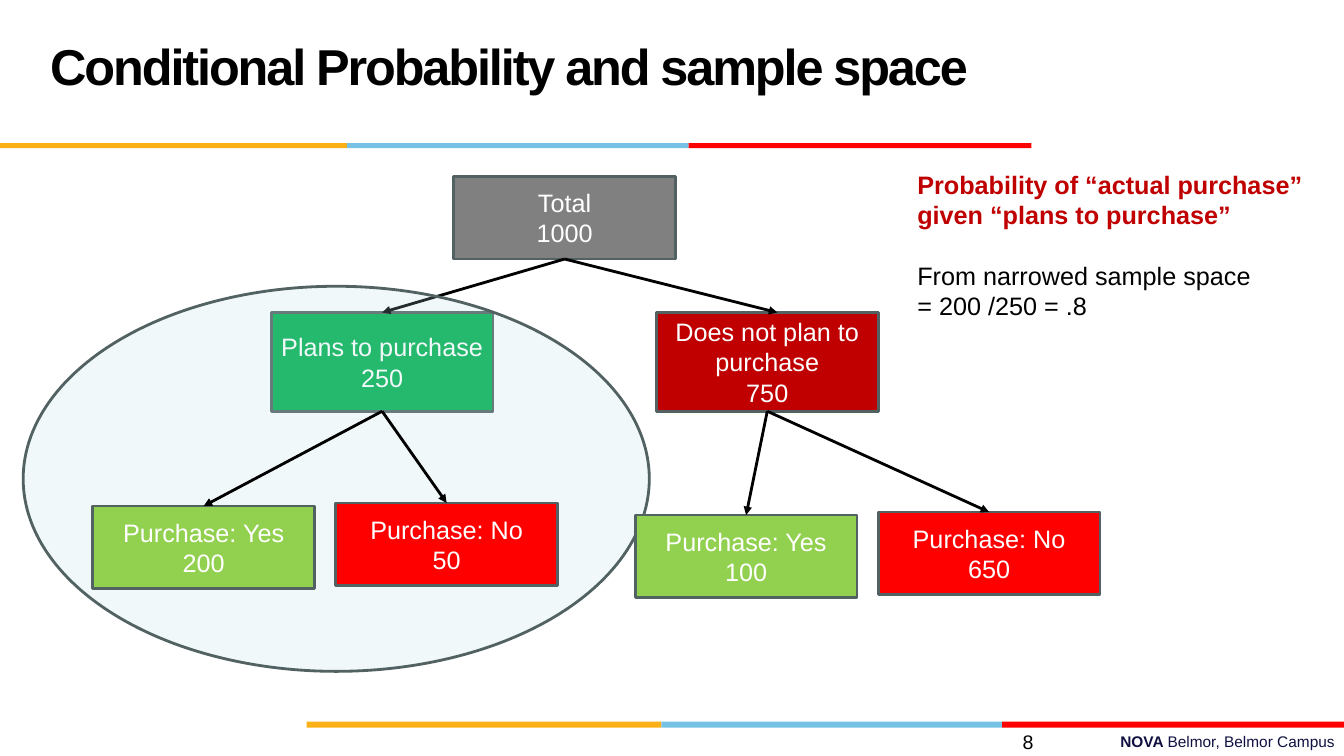
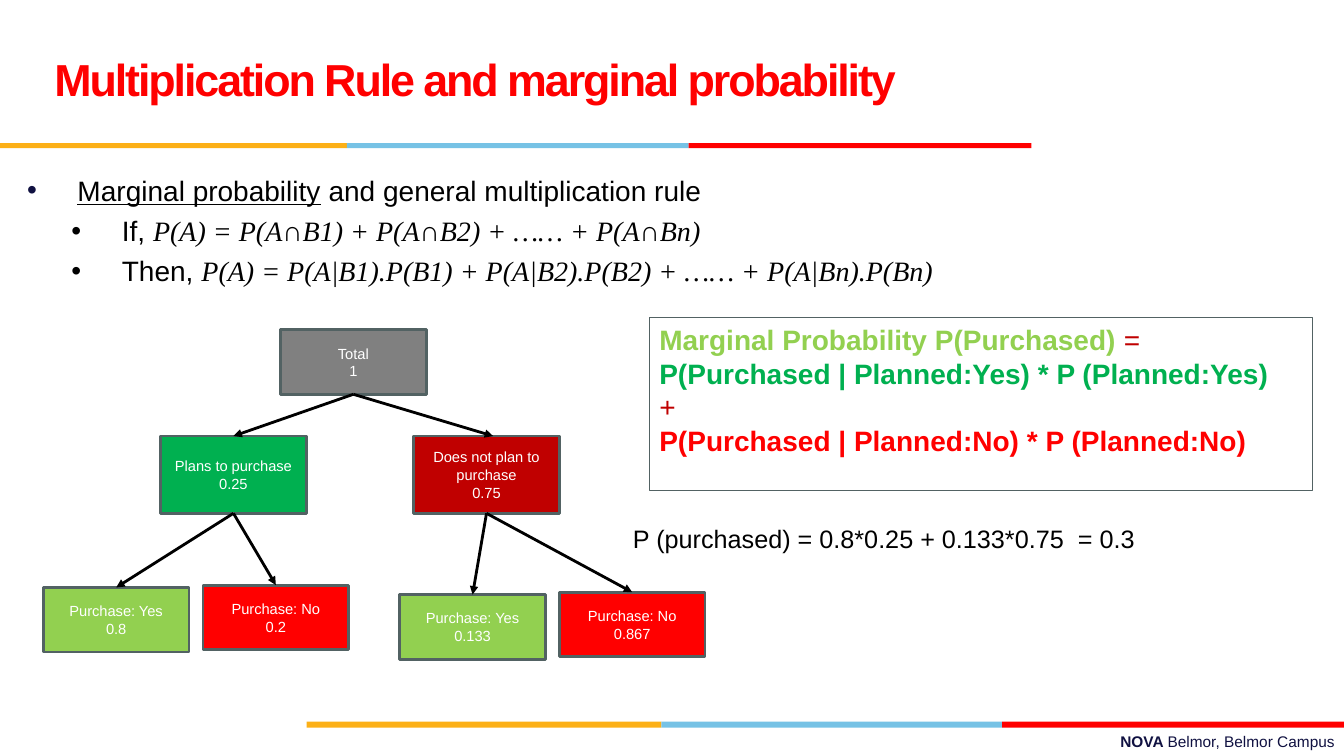
import pptx
import pptx.dml.color
import pptx.enum.shapes
import pptx.enum.text
import pptx.oxml.ns
import pptx.util
from dataclasses import dataclass
from lxml import etree

Inches = pptx.util.Inches
Pt = pptx.util.Pt
qn = pptx.oxml.ns.qn
SHAPE = pptx.enum.shapes.MSO_SHAPE
ALIGN = pptx.enum.text.PP_ALIGN
ANCHOR = pptx.enum.text.MSO_ANCHOR


@dataclass(frozen=True)
class Theme:
    font: str = "Arial"
    math_font: str = "Times New Roman"
    black: str = "000000"
    white: str = "FFFFFF"
    navy: str = "101141"
    orange: str = "FCB017"
    blue: str = "76C2E5"
    red: str = "FF0000"
    dark_red: str = "C00000"
    green: str = "00B050"
    lime: str = "92D050"
    gray: str = "808080"
    outline: str = "526263"
    pale: str = "BBE0E3"
    body: float = 18
    large: float = 20
    small: float = 10.5
    number: float = 14
    footer: float = 11


T = Theme()

TREE_SIZE = (10, 4.18)
NODE_WIDTH = 2.2
OVAL = (-0.69, 1.09, 6.21, 3.82)
UPPER_NODES = {
    "total": ("Total", 3.58, 0, 0.82, T.gray, None, 0),
    "plans": ("Plans to purchase", 1.77, 1.35, 0.98, T.green, "total", 0),
    "no_plan": ("Does not plan to purchase", 5.59, 1.35, 0.98, T.dark_red, "total", 0.1),
}
LEAVES = {
    "plans_yes": ("Purchase: Yes", 0, 3.27, 0.82, T.lime, "plans", 0),
    "plans_no": ("Purchase: No", 2.41, 3.24, 0.82, T.red, "plans", 0),
    "no_plan_yes": ("Purchase: Yes", 5.38, 3.36, 0.82, T.lime, "no_plan", 0),
    "no_plan_no": ("Purchase: No", 7.79, 3.33, 0.82, T.red, "no_plan", 0),
}


def rgb(color):
    return pptx.dml.color.RGBColor.from_string(color)


def add_run(p, text, font=T.font, size=T.body, color=T.black, bold=False,
            italic=False, underline=False, spacing=None):
    r = p.add_run()
    r.text = text
    f = r.font
    f.name, f.size, f.bold, f.italic = font, Pt(size), bold, italic
    f.underline = underline
    f.color.rgb = rgb(color)
    if spacing is not None:
        r._r.get_or_add_rPr().set("spc", str(int(spacing * 100)))


def put_text(tf, paragraphs, align=ALIGN.LEFT, anchor=ANCHOR.TOP, **fmt):
    tf.word_wrap = True
    tf.vertical_anchor = anchor
    for i, runs in enumerate(paragraphs):
        p = tf.paragraphs[0] if i == 0 else tf.add_paragraph()
        p.alignment = align
        for run in [runs] if isinstance(runs, str) else runs:
            text, changes = (run, {}) if isinstance(run, str) else run
            add_run(p, text, **{**fmt, **changes})
    return tf


def add_text(slide, box, paragraphs, **fmt):
    sp = slide.shapes.add_textbox(*map(Inches, box))
    return put_text(sp.text_frame, paragraphs, **fmt)


def add_box(slide, box, fill=None, line=None, width=2, kind=SHAPE.RECTANGLE):
    sp = slide.shapes.add_shape(kind, *map(Inches, box))
    sp.shadow.inherit = False
    if fill:
        sp.fill.solid()
        sp.fill.fore_color.rgb = rgb(fill)
    else:
        sp.fill.background()
    if line:
        sp.line.color.rgb = rgb(line)
        sp.line.width = Pt(width)
    else:
        sp.line.fill.background()
    return sp


def add_arrow(slide, parent, child, nudge):
    end_x = child.left + child.width // 2 + Inches(nudge)
    c = slide.shapes.add_connector(
        pptx.enum.shapes.MSO_CONNECTOR.STRAIGHT,
        parent.left + parent.width // 2, parent.top + parent.height,
        end_x, child.top)
    c.begin_connect(parent, 2)
    if not nudge:
        c.end_connect(child, 0)
    c.line.color.rgb = rgb(T.black)
    c.line.width = Pt(2)
    props = c._element.spPr
    etree.SubElement(props.find(qn("a:ln")), qn("a:tailEnd"), type="triangle")
    etree.SubElement(props, qn("a:effectLst"))


def set_bullet(p, indent, color):
    props = p._p.get_or_add_pPr()
    props.set("marL", str(Inches(indent)))
    props.set("indent", str(Inches(-0.5)))
    p.space_before = Pt(4.8)
    bullet_color = etree.SubElement(props, qn("a:buClr"))
    etree.SubElement(bullet_color, qn("a:srgbClr"), val=color)
    etree.SubElement(props, qn("a:buFont"), typeface=T.font)
    etree.SubElement(props, qn("a:buChar"), char="•")


def add_band(slide, top, height, edges):
    for left, right, color in zip(edges, edges[1:], (T.orange, T.blue, T.red)):
        add_box(slide, (left, top, right - left, height), color)


def add_frame(prs, title, title_box, size, color, number=None):
    slide = prs.slides.add_slide(prs.slide_layouts[6])
    add_text(slide, (4.78, 7.21, 8.56, 0.29),
             [[("NOVA ", {"bold": True}), "Belmor, Belmor Campus"]],
             size=T.footer, color=T.navy, align=ALIGN.RIGHT)
    add_band(slide, 7.16, 0.06, (3.04, 6.56, 9.94, 13.33))
    add_band(slide, 1.42, 0.05, (0, 3.44, 6.83, 10.23))
    tf = add_text(slide, title_box, [title], anchor=ANCHOR.MIDDLE,
                  size=size, color=color, bold=True, spacing=-1.5)
    tf.paragraphs[0].line_spacing = Pt(36)
    if number:
        add_text(slide, (7.24, 7.19, 3.11, 0.52), [number],
                 size=T.number, align=ALIGN.RIGHT)
    return slide


def add_tree(slide, box, values, size, highlight=False):
    left, top, width, height = box
    sx, sy = width / TREE_SIZE[0], height / TREE_SIZE[1]
    nodes = {}

    def place(x, y, w, h):
        return left + x * sx, top + y * sy, w * sx, h * sy

    def add_level(level):
        for name, (label, x, y, h, color, _, _) in level.items():
            sp = add_box(slide, place(x, y, NODE_WIDTH, h), color, T.outline)
            put_text(sp.text_frame, [label, values[name]], size=size,
                     color=T.white, align=ALIGN.CENTER, anchor=ANCHOR.MIDDLE)
            nodes[name] = sp
        for name, (*_, parent, nudge) in level.items():
            if parent:
                add_arrow(slide, nodes[parent], nodes[name], nudge * sx)

    add_level(UPPER_NODES)
    if highlight:
        oval = add_box(slide, place(*OVAL), T.pale, T.outline, kind=SHAPE.OVAL)
        fill = oval._element.spPr.find(qn("a:solidFill"))
        etree.SubElement(fill[0], qn("a:alpha"), val="20000")
    add_level(LEAVES)


def add_rules(slide, box):
    math = {"font": T.math_font, "italic": True}
    tf = add_text(slide, box, [
        [("Marginal probability", {"underline": True}),
         " and general multiplication rule"],
        ["If, ", ("P(A) = P(A∩B1) + P(A∩B2) + …… + P(A∩Bn)", math)],
        ["Then, ", ("P(A) = P(A|B1).P(B1) + P(A|B2).P(B2) + …… + P(A|Bn).P(Bn)", math)],
    ], size=T.large)
    for i, p in enumerate(tf.paragraphs):
        set_bullet(p, 0.94 if i else 0.5, T.black if i else T.navy)


def add_formula(slide, box):
    sp = add_box(slide, box, line=T.outline, width=0.75)
    plain = {"color": T.dark_red, "bold": False}
    put_text(sp.text_frame, [
        [("Marginal Probability P(Purchased) ", {"color": T.lime}), ("=", plain)],
        [("P(Purchased | Planned:Yes) * P (Planned:Yes)", {"color": T.green})],
        [("+", plain)],
        [("P(Purchased | Planned:No) * P (Planned:No)", {"color": T.red})],
    ], size=T.large, bold=True)


def conditional_slide(prs):
    slide = add_frame(prs, "Conditional Probability and sample space",
                      (0.4, 0.07, 9.64, 1.25), 36, T.black, number="8")
    add_tree(slide, (0.92, 1.75, 10, 4.18), {
        "total": "1000", "plans": "250", "no_plan": "750",
        "plans_yes": "200", "plans_no": "50",
        "no_plan_yes": "100", "no_plan_no": "650",
    }, T.body, highlight=True)
    tf = add_text(slide, (9, 1.63, 4.07, 1.62), [
        [("Probability of “actual purchase” given “plans to purchase”",
          {"color": T.dark_red, "bold": True})],
        "From narrowed sample space",
        "= 200 /250 = .8",
    ])
    tf.paragraphs[1].space_before = Pt(21.5)


def multiplication_slide(prs):
    slide = add_frame(prs, "Multiplication Rule and marginal probability",
                      (0.44, 0.17, 9.22, 1.25), 32, T.red)
    add_rules(slide, (0.17, 1.67, 11.42, 1.4))
    add_tree(slide, (0.43, 3.27, 6.57, 3.27), {
        "total": "1", "plans": "0.25", "no_plan": "0.75",
        "plans_yes": "0.8", "plans_no": "0.2",
        "no_plan_yes": "0.133", "no_plan_no": "0.867",
    }, T.small)
    add_formula(slide, (6.44, 3.15, 6.58, 1.72))
    add_text(slide, (6.18, 5.14, 6.84, 0.4),
             ["P (purchased) = 0.8*0.25 + 0.133*0.75  = 0.3"])


def main():
    prs = pptx.Presentation()
    prs.slide_width, prs.slide_height = Inches(13.33), Inches(7.5)
    conditional_slide(prs)
    multiplication_slide(prs)
    prs.save("out.pptx")


if __name__ == "__main__":
    main()
